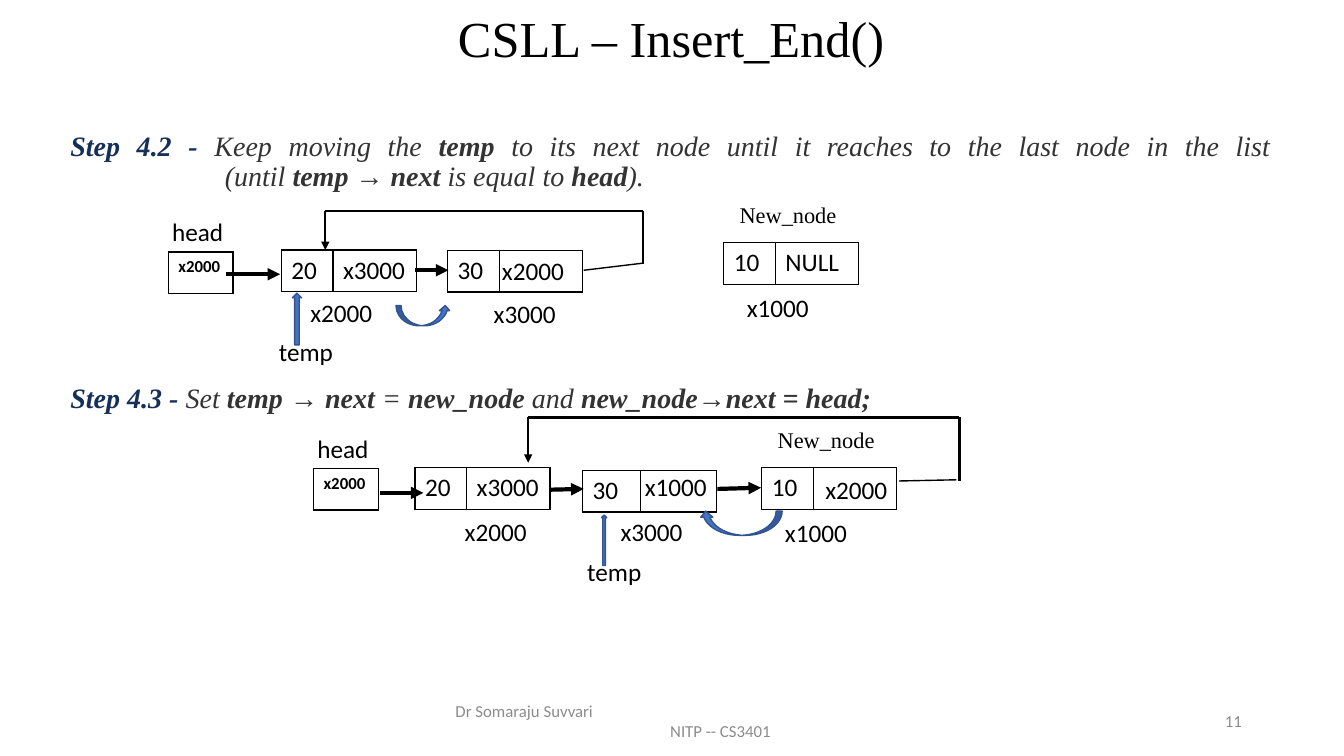
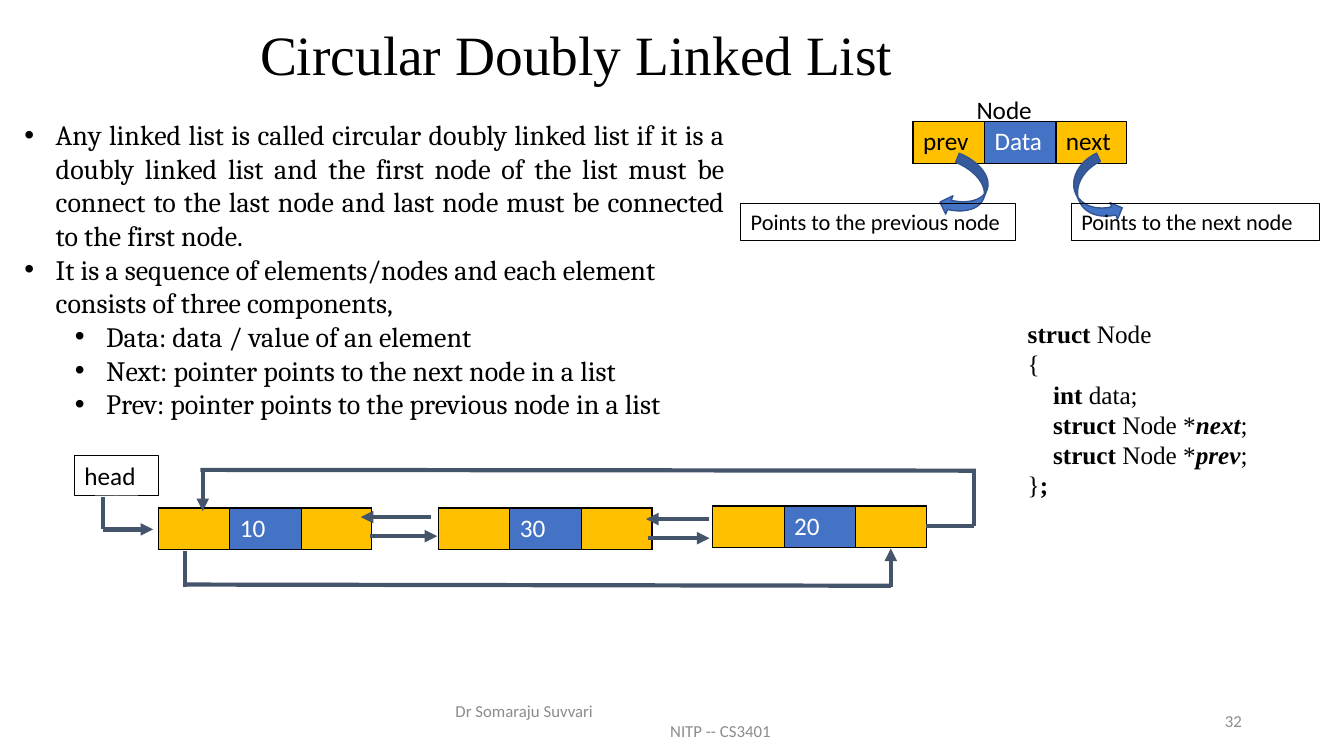
"""Build two slides on circular linked lists: inserting at the end, and the doubly linked form."""
from lxml.etree import SubElement
from pptx import Presentation
from pptx.dml.color import RGBColor
from pptx.enum.shapes import MSO_CONNECTOR, MSO_SHAPE
from pptx.enum.text import MSO_ANCHOR, MSO_AUTO_SIZE, PP_ALIGN
from pptx.oxml.ns import qn
from pptx.util import Cm, Pt

BLACK = RGBColor(0x00, 0x00, 0x00)
WHITE = RGBColor(0xFF, 0xFF, 0xFF)
GRAY = RGBColor(0x8C, 0x8C, 0x8C)
CHARCOAL = RGBColor(0x33, 0x33, 0x33)
NAVY = RGBColor(0x16, 0x2F, 0x59)
SLATE = RGBColor(0x44, 0x54, 0x6A)
BLUE = RGBColor(0x44, 0x72, 0xC4)
DARK_BLUE = RGBColor(0x32, 0x54, 0x91)
GOLD = RGBColor(0xFF, 0xC0, 0x00)
SERIF = "Times New Roman"
SANS = "Calibri"


def write(para, text, size=18, font=SANS, color=BLACK, bold=False, italic=False):
    span = para.add_run()
    span.text = text
    span.font.size = Pt(size)
    span.font.name = font
    span.font.color.rgb = color
    span.font.bold = bold
    span.font.italic = italic


def place(shape, left, top, width, height):
    shape.left, shape.top = Cm(left), Cm(top)
    shape.width, shape.height = Cm(width), Cm(height)
    frame = shape.text_frame
    frame.word_wrap = True
    frame.auto_size = MSO_AUTO_SIZE.NONE
    return frame


deck = Presentation()
deck.slide_width = Cm(33.87)
deck.slide_height = Cm(19.05)

titles = [
    ("CSLL – Insert_End()", 36, PP_ALIGN.CENTER, (2.31, 0.38, 29.21, 1.3), "11"),
    ("Circular Doubly Linked List", 39.6, PP_ALIGN.LEFT, (6.3, 0.36, 17.6, 2.16), "32"),
]
for title, size, align, area, number in titles:
    page = deck.slides.add_slide(deck.slide_layouts[1])
    frame = place(page.shapes.title, *area)
    frame.vertical_anchor = MSO_ANCHOR.MIDDLE
    para = frame.paragraphs[0]
    para.alignment = align
    para.line_spacing = 0.9
    write(para, title, size=size, font=SERIF)

    frame = place(page.shapes.add_textbox(0, 0, 0, 0), 11.23, 17.65, 11.43, 1.02)
    frame.vertical_anchor = MSO_ANCHOR.MIDDLE
    write(frame.paragraphs[0], "Dr Somaraju Suvvari", size=12, color=GRAY)
    para = frame.add_paragraph()
    para._p.get_or_add_pPr().set("marL", str(Cm(5.41)))
    write(para, "NITP -- CS3401", size=12, color=GRAY)

    frame = place(page.shapes.add_textbox(0, 0, 0, 0), 23.93, 17.65, 7.62, 1.02)
    frame.vertical_anchor = MSO_ANCHOR.MIDDLE
    frame.paragraphs[0].alignment = PP_ALIGN.RIGHT
    write(frame.paragraphs[0], number, size=12, color=GRAY)

insert_page, doubly_page = deck.slides

steps = [
    (0, "Step 4.2 - ", [
        ("Keep moving the ", False), ("temp", True),
        (" to its next node until it reaches to the last node in the list\v(until ", False),
        ("temp → next", True), (" is equal to ", False), ("head", True), (").", False)]),
    (137, "Step 4.3 - ", [
        ("Set ", False), ("temp → next", True), (" = ", False), ("new_node ", True),
        ("and ", False), ("new_node→next = head;", True)]),
]
frame = place(insert_page.placeholders[1], 1.52, 3.2, 30.76, 13.97)
for index, (gap, label, parts) in enumerate(steps):
    para = frame.add_paragraph() if index else frame.paragraphs[0]
    para.alignment = PP_ALIGN.JUSTIFY
    para.line_spacing = 0.9
    para.space_before = Pt(gap)
    properties = para._p.get_or_add_pPr()
    properties.set("marL", str(Cm(3.89)))
    properties.set("indent", str(-Cm(3.89)))
    SubElement(properties, qn("a:buNone"))
    write(para, label, size=20, font=SERIF, color=NAVY, bold=True, italic=True)
    for text, bold in parts:
        for piece_index, piece in enumerate(text.split("\v")):
            if piece_index:
                para.add_line_break()
            write(para, piece, size=20, font=SERIF, color=CHARCOAL, bold=bold, italic=True)

bullets = [
    (0, PP_ALIGN.JUSTIFY, "Any linked list is called circular doubly linked list if it is a doubly linked list "
     "and the first node of the list must be connect to the last node and last node must be "
     "connected to the first node."),
    (0, PP_ALIGN.LEFT, "It is a sequence of elements/nodes and each element consists of three components,"),
    (1, PP_ALIGN.LEFT, "Data: data / value of an element"),
    (1, PP_ALIGN.LEFT, "Next: pointer points to the next node in a list"),
    (1, PP_ALIGN.LEFT, "Prev: pointer points to the previous node in a list"),
]
frame = place(doubly_page.placeholders[1], 0.36, 2.84, 18.16, 8.71)
for index, (level, align, text) in enumerate(bullets):
    para = frame.add_paragraph() if index else frame.paragraphs[0]
    para.level = level
    para.alignment = align
    para.space_before = Pt(0)
    properties = para._p.get_or_add_pPr()
    properties.set("marL", str(Cm(0.79 + 1.27 * level)))
    properties.set("indent", str(-Cm(0.79)))
    SubElement(properties, qn("a:buFont"), typeface="Arial")
    SubElement(properties, qn("a:buChar"), char="•")
    write(para, text, size=20, font="Cambria")

code_lines = [
    (0, [("struct", True, False), (" Node", False, False)]),
    (0, [("{", False, False)]),
    (0.64, [("int", True, False), (" data;", False, False)]),
    (0.64, [("struct", True, False), (" Node *", False, False), ("next", True, True), (";", False, False)]),
    (0.64, [("struct", True, False), (" Node *", False, False), ("prev", True, True), (";", False, False)]),
    (0, [("}", False, False), (";", True, False)]),
]
frame = place(doubly_page.shapes.add_textbox(0, 0, 0, 0), 25.65, 7.9, 6.76, 4.88)
for index, (indent, parts) in enumerate(code_lines):
    para = frame.add_paragraph() if index else frame.paragraphs[0]
    para._p.get_or_add_pPr().set("marL", str(Cm(indent)))
    for text, bold, italic in parts:
        write(para, text, font=SERIF, bold=bold, italic=italic)

HEAD = [1.63]
NODE = [1.3, 2.1]
WIDE_NODE = [1.47, 1.91]
DOUBLE_NODE = [1.8, 1.8, 1.78]
tables = [
    (insert_page, 4.24, 6.35, HEAD, ["x2000"]),
    (insert_page, 7.09, 6.3, NODE, ["20", "x3000"]),
    (insert_page, 11.28, 6.32, NODE, ["30", ""]),
    (insert_page, 18.24, 6.12, NODE, ["10", "NULL"]),
    (insert_page, 7.9, 11.81, HEAD, ["x2000"]),
    (insert_page, 10.46, 11.79, NODE, ["20", "x3000"]),
    (insert_page, 14.68, 11.86, WIDE_NODE, ["30", ""]),
    (insert_page, 19.2, 11.79, NODE, ["10", ""]),
    (doubly_page, 23.01, 3.07, DOUBLE_NODE, ["prev", "Data", "next"]),
    (doubly_page, 3.99, 12.8, DOUBLE_NODE, ["", "10", ""]),
    (doubly_page, 11.05, 12.8, DOUBLE_NODE, ["", "30", ""]),
    (doubly_page, 17.96, 12.75, DOUBLE_NODE, ["", "20", ""]),
]
for page, left, top, widths, texts in tables:
    table = page.shapes.add_table(
        1, len(widths), Cm(left), Cm(top), Cm(sum(widths)), Cm(1.04)).table
    table.first_row = False
    table.horz_banding = False
    for column, (width, text) in enumerate(zip(widths, texts)):
        table.columns[column].width = Cm(width)
        cell = table.cell(0, column)
        for side in ("lnL", "lnR", "lnT", "lnB"):
            border = SubElement(cell._tc.get_or_add_tcPr(), qn(f"a:{side}"), w=str(Pt(1)))
            SubElement(SubElement(border, qn("a:solidFill")), qn("a:srgbClr"), val=str(BLACK))
        is_data = widths is DOUBLE_NODE and column == 1
        if widths is DOUBLE_NODE:
            cell.fill.solid()
            cell.fill.fore_color.rgb = BLUE if is_data else GOLD
        else:
            cell.fill.background()
        if text:
            write(cell.text_frame.paragraphs[0], text, size=12 if widths is HEAD else 18,
                  color=WHITE if is_data else BLACK, bold=widths is HEAD)

block_arrows = [
    (insert_page, MSO_SHAPE.CURVED_UP_ARROW, 9.98, 7.7, 1.37, 0.51, 0),
    (insert_page, MSO_SHAPE.UP_ARROW, 7.37, 7.39, 0.23, 1.3, 0),
    (insert_page, MSO_SHAPE.CURVED_DOWN_ARROW, 17.63, 12.88, 2.08, 0.61, 180),
    (insert_page, MSO_SHAPE.UP_ARROW, 15.16, 12.98, 0.13, 1.27, 0),
    (doubly_page, MSO_SHAPE.CURVED_UP_ARROW, 26.72, 4.39, 1.75, 0.91, 64.8),
    (doubly_page, MSO_SHAPE.CURVED_LEFT_ARROW, 23.85, 3.99, 0.99, 1.57, 21.6),
]
for page, kind, left, top, width, height, angle in block_arrows:
    arrow = page.shapes.add_shape(kind, Cm(left), Cm(top), Cm(width), Cm(height))
    arrow.rotation = angle
    arrow.shadow.inherit = False
    arrow.fill.solid()
    arrow.fill.fore_color.rgb = BLUE
    arrow.line.color.rgb = DARK_BLUE
    arrow.line.width = Pt(1)

labels = [
    (insert_page, "head", 4.09, 5.33, 2.03),
    (insert_page, "x2000", 7.57, 7.37, 3.1),
    (insert_page, "x3000", 12.19, 7.39, 3.1),
    (insert_page, "x2000", 12.4, 6.32, 3.1),
    (insert_page, "temp", 6.78, 8.36, 2.13),
    (insert_page, "x1000", 18.57, 7.24, 3.1),
    (insert_page, "head", 7.75, 10.8, 2.03),
    (insert_page, "x2000", 11.46, 12.88, 3.1),
    (insert_page, "x3000", 15.39, 12.88, 3.1),
    (insert_page, "x1000", 19.53, 12.9, 3.1),
    (insert_page, "x1000", 16, 11.76, 2.21),
    (insert_page, "x2000", 20.55, 11.84, 3.1),
    (insert_page, "temp", 14.55, 13.89, 2.13),
    (doubly_page, "Node", 24.36, 2.24, 2.62),
]
for page, text, left, top, width in labels:
    frame = place(page.shapes.add_textbox(0, 0, 0, 0), left, top, width, 1.02)
    write(frame.paragraphs[0], text)

for left, top in [(18.39, 4.95), (19.35, 10.62)]:
    frame = place(insert_page.shapes.add_textbox(0, 0, 0, 0), left, top, 3.1, 0.94)
    write(frame.paragraphs[0], "New_node", size=16, font=SERIF)

outlined_boxes = [
    ("head", 18, 1.88, 11.48, 2.11, 1.02),
    ("Points to the previous node", 16, 18.67, 5.13, 6.93, 0.94),
    ("Points to the next node", 16, 27, 5.13, 6.25, 0.94),
]
for text, size, left, top, width, height in outlined_boxes:
    box = doubly_page.shapes.add_textbox(0, 0, 0, 0)
    frame = place(box, left, top, width, height)
    box.line.color.rgb = BLACK
    box.line.width = Pt(0.75)
    write(frame.paragraphs[0], text, size=size)

line_groups = [
    (insert_page, BLACK, 3, True, [
        (5.69, 6.91, 7.06, 6.91), (10.46, 6.81, 11.3, 6.81), (9.58, 12.42, 10.67, 12.42),
        (13.84, 12.34, 14.71, 12.32), (18.08, 12.32, 19.18, 12.29)]),
    (insert_page, BLACK, 1, False, [(14.71, 6.81, 16.21, 6.63), (22.66, 12.12, 24.1, 12.09)]),
    (insert_page, BLACK, 1.5, False, [
        (16.21, 6.65, 16.21, 5.31), (16.21, 5.31, 8.2, 5.31),
        (24.18, 12.12, 24.18, 10.52), (24.18, 10.52, 13.31, 10.52)]),
    (insert_page, BLACK, 1.5, True, [(8.2, 5.31, 8.2, 6.3), (13.31, 10.52, 13.31, 11.66)]),
    (doubly_page, SLATE, 3, True, [
        (2.59, 13.34, 3.86, 13.34), (9.32, 13.51, 11.02, 13.51), (10.87, 13.03, 9.09, 13.03),
        (16.33, 13.56, 17.88, 13.56), (17.88, 13.08, 16.28, 13.08),
        (5.11, 11.84, 5.11, 12.88), (22.45, 14.78, 22.45, 13.82)]),
    (doubly_page, SLATE, 3, False, [
        (2.59, 13.34, 2.59, 12.52), (23.34, 13.26, 24.54, 13.26), (24.54, 13.26, 24.54, 11.84),
        (5.05, 11.84, 24.59, 11.86), (4.67, 14.73, 22.45, 14.76), (4.67, 14.78, 4.67, 13.89)]),
]
for page, color, weight, has_arrow, lines in line_groups:
    for ends in lines:
        connector = page.shapes.add_connector(MSO_CONNECTOR.STRAIGHT, *map(Cm, ends))
        connector.line.color.rgb = color
        connector.line.width = Pt(weight)
        if has_arrow:
            SubElement(connector.line._get_or_add_ln(), qn("a:tailEnd"), type="triangle")
        SubElement(connector._element.spPr, qn("a:effectLst"))

deck.save("out.pptx")
